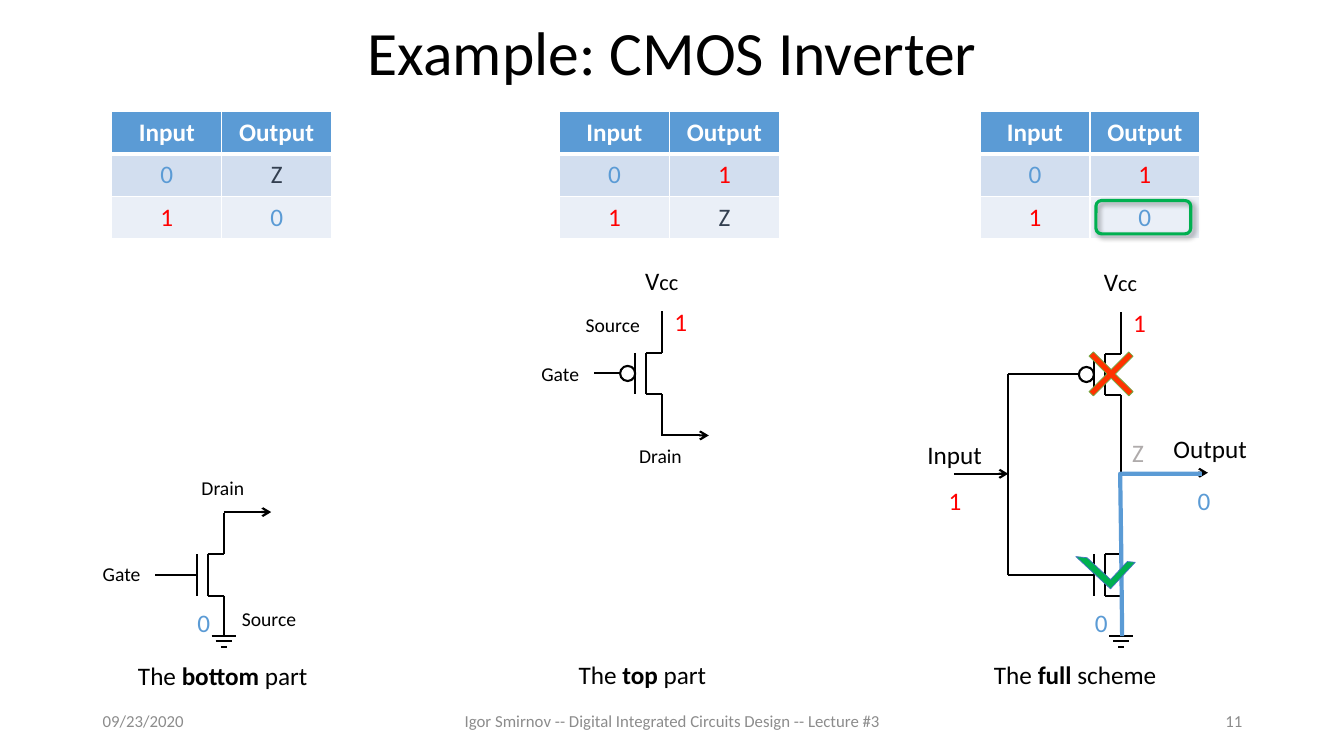
import pptx
import pptx.dml.color
import pptx.enum.shapes
import pptx.enum.text
import pptx.oxml.ns
import pptx.util
from lxml import etree

RGB = pptx.dml.color.RGBColor
BLACK = RGB(0x00, 0x00, 0x00)
WHITE = RGB(0xFF, 0xFF, 0xFF)
GREY = RGB(0x8C, 0x8C, 0x8C)
PALE = RGB(0xAF, 0xAB, 0xAB)
SLATE = RGB(0x33, 0x3F, 0x50)
RED = RGB(0xFF, 0x00, 0x00)
BLUE = RGB(0x5B, 0x9B, 0xD5)
BAND = RGB(0xD2, 0xDE, 0xEF)
LIGHT = RGB(0xEA, 0xEF, 0xF7)
GREEN = RGB(0x00, 0xB0, 0x50)
CROSS = RGB(0xFF, 0x33, 0x00)
OLIVE = RGB(0x70, 0xAD, 0x47)
NAVY = RGB(0x44, 0x72, 0xC4)
LEVEL = {"0": BLUE, "1": RED, "Z": SLATE}

SCALE = 9144  # EMU per px, 100 px to the inch
KIND = pptx.enum.shapes.MSO_SHAPE
ALIGN = pptx.enum.text.PP_ALIGN
MIDDLE = pptx.enum.text.MSO_ANCHOR.MIDDLE
FIT = pptx.enum.text.MSO_AUTO_SIZE
qn = pptx.oxml.ns.qn


def px(*nums):
    return [pptx.util.Emu(n * SCALE) for n in nums]


def add(node, tag, **attrs):
    return etree.SubElement(node, qn(tag), attrs)


class Board:
    font = "Calibri"
    wire = 1.5

    def __init__(self, deck):
        self.slide = deck.slides.add_slide(deck.slide_layouts[5])
        self.shapes = self.slide.shapes

    def run(self, para, text, size=18, color=BLACK, bold=False):
        run = para.add_run()
        run.text = text
        run.font.name = self.font
        run.font.size = pptx.util.Pt(size)
        run.font.color.rgb = color
        run.font.bold = bold

    def title(self, text, *area):
        box = self.shapes.title
        box.left, box.top, box.width, box.height = px(*area)
        frame = box.text_frame
        frame.auto_size = FIT.NONE
        frame.vertical_anchor = MIDDLE
        para = frame.paragraphs[0]
        para.alignment = ALIGN.CENTER
        para.line_spacing = 0.9
        self.run(para, text, 44)

    def label(self, x, y, w, *runs, h=40):
        frame = self.shapes.add_textbox(*px(x, y, w, h)).text_frame
        frame.word_wrap = False
        frame.auto_size = FIT.SHAPE_TO_FIT_TEXT
        for run in runs:
            self.run(frame.paragraphs[0], *run)

    def footer(self, x, w, text, align):
        frame = self.shapes.add_textbox(*px(x, 695, w, 40)).text_frame
        frame.word_wrap = True
        frame.vertical_anchor = MIDDLE
        frame.paragraphs[0].alignment = align
        self.run(frame.paragraphs[0], text, 12, GREY)

    def line(self, x1, y1, x2, y2, arrow=False):
        kind = pptx.enum.shapes.MSO_CONNECTOR.STRAIGHT
        wire = self.shapes.add_connector(kind, *px(x1, y1, x2, y2))
        wire.line.color.rgb = BLACK
        wire.line.width = pptx.util.Pt(self.wire)
        props = wire._element.spPr
        if arrow:
            add(props.find(qn("a:ln")), "a:tailEnd", type="arrow")
        add(props, "a:effectLst")

    def paint(self, shape, fill, color, width):
        shape.shadow.inherit = False
        if fill is None:
            shape.fill.background()
        else:
            shape.fill.solid()
            shape.fill.fore_color.rgb = fill
        shape.line.color.rgb = color
        shape.line.width = pptx.util.Pt(width)
        return shape

    def shape(self, kind, area, fill, color, width, adjust=()):
        shape = self.shapes.add_shape(kind, *px(*area))
        for i, value in enumerate(adjust):
            shape.adjustments[i] = value
        return self.paint(shape, fill, color, width)

    def trace(self, start, *points):
        pen = self.shapes.build_freeform(*start, scale=SCALE)
        pen.add_line_segments(points, close=False)
        self.paint(pen.convert_to_shape(), None, BLUE, 3)

    def shade(self, shape):
        effects = shape._element.spPr.find(qn("a:effectLst"))
        shadow = add(effects, "a:outerShdw", blurRad="50800", dist="38100",
                     dir="2700000", algn="tl", rotWithShape="0")
        add(add(shadow, "a:srgbClr", val="000000"), "a:alpha", val="40000")

    def border(self, cell, row):
        props = cell._tc.get_or_add_tcPr()
        heavy = {0: "a:lnB", 1: "a:lnT"}.get(row)
        for side in ("a:lnL", "a:lnR", "a:lnT", "a:lnB"):
            width = 3 if side == heavy else 1
            edge = add(props, side, w=str(pptx.util.Pt(width)))
            add(add(edge, "a:solidFill"), "a:srgbClr", val=str(WHITE))

    def truth(self, x, *outs):
        rows = [("Input", "Output"), ("0", outs[0]), ("1", outs[1])]
        table = self.shapes.add_table(3, 2, *px(x, 111, 218, 126)).table
        for r, (row, fill) in enumerate(zip(rows, (BLUE, BAND, LIGHT))):
            for c, text in enumerate(row):
                cell = table.cell(r, c)
                self.border(cell, r)
                cell.fill.solid()
                cell.fill.fore_color.rgb = fill
                cell.vertical_anchor = MIDDLE
                para = cell.text_frame.paragraphs[0]
                para.alignment = ALIGN.CENTER
                self.run(para, text, 18, LEVEL.get(text, WHITE), r == 0)

    def gate(self, x, y, pmos=False):
        """Transistor with its leads on x and its gate at height y."""
        top, low = y - 20, y + 21
        self.line(x - 16, top, x - 16, low)
        for end, lead in ((top, top - 41), (low, low + 41)):
            self.line(x - 16, end, x, end)
            self.line(x, end, x, lead)
        self.line(x - 27, top, x - 27, low)
        self.line(x - 27, y, x - 68, y)
        if pmos:
            self.shape(KIND.OVAL, (x - 42, y - 7, 15, 15), WHITE, BLACK, self.wire)

    def ground(self, x):
        for half, y in ((12, 631), (8, 636), (3, 642)):
            self.line(x - half, y, x + half, y)
        self.label(x - 36, 598, 33, ("0", 18, BLUE))

    def supply(self, x, y):
        self.label(x - 27, y, 54, ("V",), ("cc", 16))
        self.label(x + 2, y + 41, 34, ("1", 18, RED))


def main():
    deck = pptx.Presentation()
    deck.slide_width, deck.slide_height = px(1333, 750)
    board = Board(deck)

    # Title and footer
    board.title("Example: CMOS Inverter", 92, 0, 1150, 110)
    board.footer(92, 300, "09/23/2020", ALIGN.LEFT)
    board.footer(442, 450, "Igor Smirnov -- Digital Integrated Circuits Design -- Lecture #3",
                 ALIGN.CENTER)
    board.footer(942, 300, "11", ALIGN.RIGHT)

    # Truth tables
    for x, outs in ((111, "Z0"), (555, "1Z"), (972, "10")):
        board.truth(x, *outs)

    # Bottom part
    board.gate(222, 570)
    board.ground(222)
    board.line(222, 508, 269, 508, arrow=True)

    # Top part
    board.gate(657, 370, pmos=True)
    board.supply(657, 258)
    board.line(656, 432, 703, 432, arrow=True)

    # Terminal names
    for x, y, w, name in ((92, 553, 59, "Gate"), (190, 467, 63, "Drain"),
                          (230, 597, 77, "Source"), (527, 354, 59, "Gate"),
                          (624, 435, 63, "Drain"), (571, 306, 77, "Source")):
        board.label(x, y, w, (name, 14), h=34)

    # Full scheme
    board.gate(1112, 570)
    board.ground(1112)
    board.gate(1112, 371, pmos=True)
    board.supply(1112, 259)
    for y in (371, 570):
        board.line(1045, y, 1000, y)
    board.line(1000, 371, 1000, 570)
    board.line(1112, 432, 1112, 508)
    board.line(946, 470, 1000, 470, arrow=True)
    board.line(1111, 469, 1198, 469, arrow=True)
    board.label(910, 431, 75, ("Input",))
    board.label(1154, 425, 95, ("Output",))
    board.label(931, 477, 34, ("1", 18, RED))
    board.label(1178, 477, 33, ("0", 18, BLUE))
    board.label(1113, 429, 32, ("Z", 18, PALE))

    # Active route and on/off marks
    board.shape(KIND.MATH_MULTIPLY, (1064, 333, 76, 76), CROSS, OLIVE, 0.5, (0.08,))
    board.trace((1113, 631), (1112, 540), (1111, 470), (1192, 470))
    check = board.shape(KIND.HALF_FRAME, (1073, 537, 47, 36), GREEN, NAVY, 0.5, (0.19, 0.175))
    check.rotation = 222.9

    # Captions
    for x, y, w, bold, rest in ((127, 650, 191, "bottom ", "part"),
                                (564, 649, 154, "top ", "part"),
                                (976, 649, 189, "full ", "scheme")):
        board.label(x, y, w, ("The ",), (bold, 18, BLACK, True), (rest,))

    # Highlighted result
    board.shade(board.shape(KIND.ROUNDED_RECTANGLE, (1087, 199, 94, 33), None, GREEN, 2.25))

    deck.save("out.pptx")


if __name__ == "__main__":
    main()
